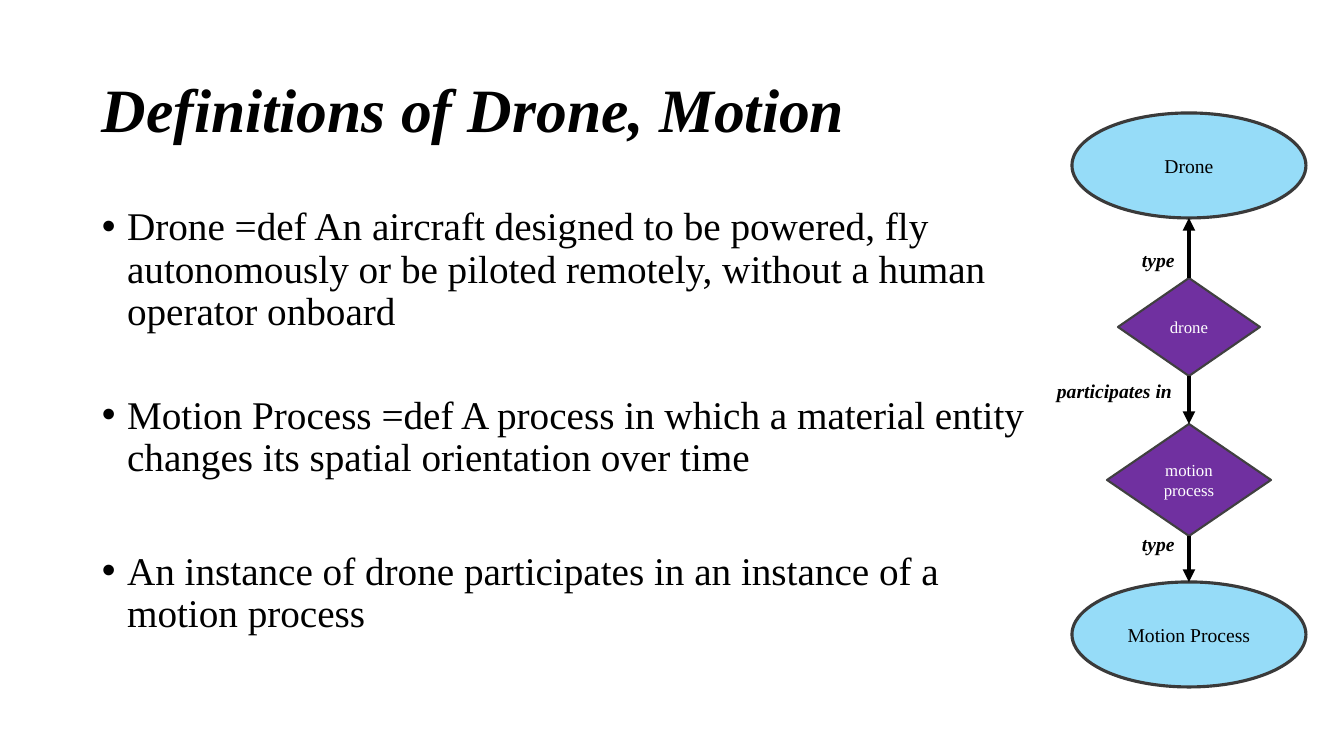
"""Build the slide that defines drone and motion process beside a small diagram."""
from dataclasses import dataclass
from typing import Optional

from lxml.etree import SubElement
from pptx import Presentation
from pptx.dml.color import RGBColor
from pptx.enum.shapes import MSO_CONNECTOR, MSO_SHAPE
from pptx.enum.text import MSO_ANCHOR as Anchor, MSO_AUTO_SIZE as AutoSize, PP_ALIGN as Align
from pptx.oxml.ns import qn
from pptx.util import Emu, Pt

EMU_PER_PX = 914400 / 100.8
FONT = "Times New Roman"
AXIS = 1189
LABEL_RIGHT = 1188
TOP, BOTTOM = 0, 2
COLOURS = {
    "ink": "000000",
    "white": "FFFFFF",
    "sky": "96DCF8",
    "purple": "7030A0",
    "class_edge": "3A3A3A",
    "instance_edge": "404040",
}


@dataclass(frozen=True)
class NodeStyle:
    preset: MSO_SHAPE
    fill: str
    edge: str
    edge_width: float
    text: str
    size: int


@dataclass(frozen=True)
class Node:
    name: str
    style: NodeStyle
    top: int
    width: int
    height: int


@dataclass(frozen=True)
class Relation:
    label: str
    begin: str
    begin_side: int
    end: str
    end_side: int
    label_top: int
    label_width: int


@dataclass(frozen=True)
class Definition:
    lines: tuple[str, ...]
    space_before: Optional[int] = None


CLASS = NodeStyle(MSO_SHAPE.OVAL, "sky", "class_edge", 2.25, "ink", 14)
INSTANCE = NodeStyle(MSO_SHAPE.DIAMOND, "purple", "instance_edge", 1.5, "white", 12)

NODES = (
    Node("Drone", CLASS, 113, 234, 105),
    Node("drone", INSTANCE, 278, 142, 98),
    Node("motion process", INSTANCE, 424, 164, 112),
    Node("Motion Process", CLASS, 582, 234, 105),
)
RELATIONS = (
    Relation("type", "drone", TOP, "Drone", BOTTOM, 243, 56),
    Relation("participates in", "drone", BOTTOM, "motion process", TOP, 374, 141),
    Relation("type", "motion process", BOTTOM, "Motion Process", TOP, 527, 56),
)
DEFINITIONS = (
    Definition((
        "Drone =def An aircraft designed to be powered, fly",
        "autonomously or be piloted remotely, without a human",
        "operator onboard",
    )),
    Definition((
        "Motion Process =def A process in which a material entity",
        "changes its spatial orientation over time",
    ), 44),
    Definition((
        "An instance of drone participates in an instance of a",
        "motion process",
    ), 51),
)


def px(length: int) -> Emu:
    """Turn pixels into EMU."""
    return Emu(round(length * EMU_PER_PX))


def colour(name: str) -> RGBColor:
    """Look up a colour by name."""
    return RGBColor.from_string(COLOURS[name])


def add_run(paragraph, text: str, size: int, ink: str = "ink", emphatic: bool = False) -> None:
    """Add one formatted run, bold and italic when emphatic."""
    run = paragraph.add_run()
    run.text = text
    run.font.name = FONT
    run.font.size = Pt(size)
    run.font.color.rgb = colour(ink)
    if emphatic:
        run.font.bold = run.font.italic = True


def add_text_frame(slide, left: int, top: int, width: int, height: int, wrap: bool = True):
    """Add a text box and return its text frame."""
    frame = slide.shapes.add_textbox(px(left), px(top), px(width), px(height)).text_frame
    frame.word_wrap = wrap
    return frame


def add_title(slide, text: str) -> None:
    """Add the slide title."""
    frame = add_text_frame(slide, 92, 40, 1159, 146)
    frame.vertical_anchor = Anchor.MIDDLE
    paragraph = frame.paragraphs[0]
    paragraph.line_spacing = 0.9
    add_run(paragraph, text, 44, emphatic=True)


def add_definitions(slide, definitions: tuple[Definition, ...]) -> None:
    """Add the bulleted definitions."""
    frame = add_text_frame(slide, 92, 202, 1159, 554)
    for index, definition in enumerate(definitions):
        paragraph = frame.add_paragraph() if index else frame.paragraphs[0]
        paragraph.line_spacing = 0.9
        if definition.space_before:
            paragraph.space_before = Pt(definition.space_before)
        properties = paragraph._p.get_or_add_pPr()
        properties.set("marL", str(Pt(18)))
        properties.set("indent", str(-Pt(18)))
        SubElement(properties, qn("a:buFont"), typeface="Arial")
        SubElement(properties, qn("a:buChar"), char="•")
        for number, line in enumerate(definition.lines):
            if number:
                paragraph.add_line_break()
            add_run(paragraph, line, 28)


def add_node(slide, node: Node):
    """Draw one diagram node centred on the axis."""
    style = node.style
    shape = slide.shapes.add_shape(
        style.preset, px(AXIS - node.width // 2), px(node.top), px(node.width), px(node.height))
    shape.shadow.inherit = False
    shape.fill.solid()
    shape.fill.fore_color.rgb = colour(style.fill)
    shape.line.color.rgb = colour(style.edge)
    shape.line.width = Pt(style.edge_width)
    frame = shape.text_frame
    frame.word_wrap = True
    frame.vertical_anchor = Anchor.MIDDLE
    paragraph = frame.paragraphs[0]
    paragraph.alignment = Align.CENTER
    add_run(paragraph, node.name, style.size, style.text)
    return shape


def side_y(node: Node, side: int) -> int:
    """Give the height of a node's top or bottom point."""
    return node.top if side == TOP else node.top + node.height


def add_relation(slide, relation: Relation, nodes: dict, shapes: dict) -> None:
    """Draw a labelled arrow between two nodes."""
    begin, end = nodes[relation.begin], nodes[relation.end]
    arrow = slide.shapes.add_connector(
        MSO_CONNECTOR.STRAIGHT,
        px(AXIS), px(side_y(begin, relation.begin_side)),
        px(AXIS), px(side_y(end, relation.end_side)))
    arrow.begin_connect(shapes[begin.name], relation.begin_side)
    if end.style is INSTANCE or relation.end_side == TOP:
        arrow.end_connect(shapes[end.name], relation.end_side)
    arrow.line.color.rgb = colour("ink")
    arrow.line.width = Pt(3)
    SubElement(arrow.line._get_or_add_ln(), qn("a:tailEnd"), type="triangle")
    SubElement(arrow._element.spPr, qn("a:effectLst"))
    frame = add_text_frame(slide, LABEL_RIGHT - relation.label_width, relation.label_top,
                           relation.label_width, 34, wrap=False)
    frame.auto_size = AutoSize.SHAPE_TO_FIT_TEXT
    add_run(frame.paragraphs[0], relation.label, 14, emphatic=True)


def main() -> None:
    """Build and save the presentation."""
    presentation = Presentation()
    presentation.slide_width, presentation.slide_height = px(1344), px(756)
    slide = presentation.slides.add_slide(presentation.slide_layouts[6])
    add_title(slide, "Definitions of Drone, Motion")
    add_definitions(slide, DEFINITIONS)
    nodes = {node.name: node for node in NODES}
    shapes = {node.name: add_node(slide, node) for node in NODES}
    for relation in RELATIONS:
        add_relation(slide, relation, nodes, shapes)
    presentation.save("out.pptx")


if __name__ == "__main__":
    main()
